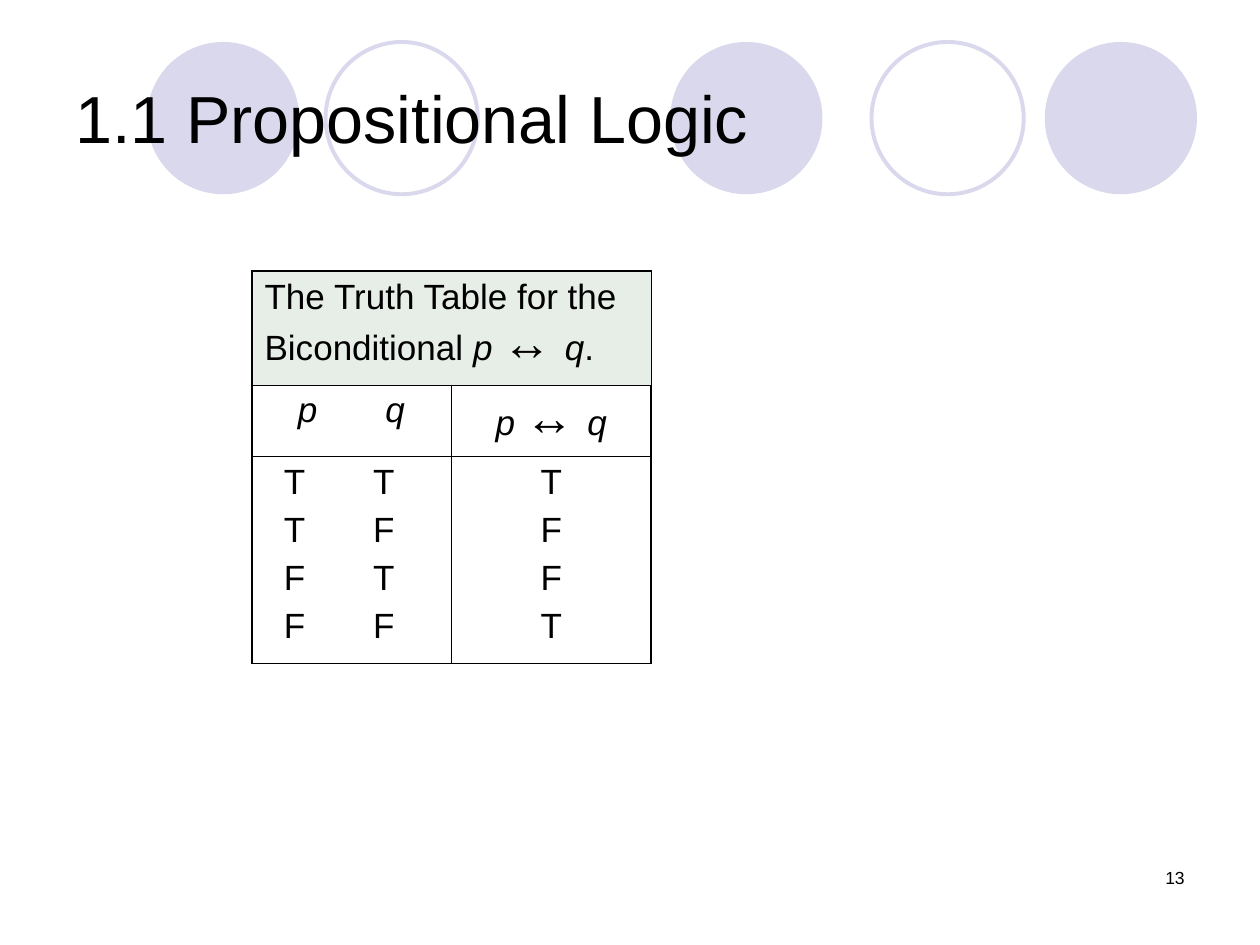
from lxml.etree import SubElement
from pptx import Presentation
from pptx.dml.color import RGBColor
from pptx.enum.shapes import MSO_SHAPE as Shape
from pptx.enum.text import MSO_ANCHOR as Anchor, PP_ALIGN as Align
from pptx.oxml.ns import qn
from pptx.util import Pt

BLACK = RGBColor(0x00, 0x00, 0x00)
LAVENDER = RGBColor(0xD9, 0xD8, 0xEC)
PALE_GREEN = RGBColor(0xE7, 0xED, 0xE7)
FONT = "Arial"
OUTER, INNER = 1.08, 0.45
BICONDITIONAL = [("p ", 20, True), ("↔ ", 28, False), ("q", 20, True)]
HEADING = [("The Truth Table for the Biconditional ", 20, False), *BICONDITIONAL, (".", 20, False)]
TRUTH_VALUES = [("T", "T", "T"), ("T", "F", "F"), ("F", "T", "F"), ("F", "F", "T")]


def style_font(font, size, italic=False):
    """Apply the slide's typeface and colour."""
    font.name = FONT
    font.size = Pt(size)
    font.italic = italic
    font.color.rgb = BLACK


def add_circles(slide, left, top, size):
    """Place the row of filled and outlined circles."""
    circles = [(299, True), (513, True), (0, True), (414, False), (102, False)]
    for offset, filled in circles:
        circle = slide.shapes.add_shape(
            Shape.OVAL, Pt(left + offset), Pt(top), Pt(size), Pt(size))
        circle.shadow.inherit = False
        if filled:
            circle.fill.solid()
            circle.fill.fore_color.rgb = LAVENDER
            circle.line.fill.background()
        else:
            circle.fill.background()
            circle.line.color.rgb = LAVENDER
            circle.line.width = Pt(2.25)


def add_text(slide, left, top, width, height, text, size, align, anchor):
    """Place one line of text in a box."""
    box = slide.shapes.add_textbox(Pt(left), Pt(top), Pt(width), Pt(height))
    text_frame = box.text_frame
    text_frame.word_wrap = True
    text_frame.vertical_anchor = anchor
    text_frame.text = text
    paragraph = text_frame.paragraphs[0]
    paragraph.alignment = align
    style_font(paragraph.runs[0].font, size)


def set_borders(cell, row, column):
    """Draw thick lines on the table's rim and thin ones inside."""
    properties = cell._tc.get_or_add_tcPr()
    rims = {"a:lnL": column == 0, "a:lnR": column == 1, "a:lnT": row == 0, "a:lnB": row == 2}
    for tag, on_rim in rims.items():
        width = Pt(OUTER if on_rim else INNER)
        line = SubElement(properties, qn(tag), w=str(width))
        fill = SubElement(line, qn("a:solidFill"))
        SubElement(fill, qn("a:srgbClr"), val=str(BLACK))


def set_tabs(paragraph, positions):
    """Give a paragraph left tab stops at the given points."""
    tabs = SubElement(paragraph._p.get_or_add_pPr(), qn("a:tabLst"))
    for position in positions:
        SubElement(tabs, qn("a:tab"), pos=str(Pt(position)), algn="l")


def fill_runs(cell, parts, align):
    """Write a paragraph of mixed sizes and slants."""
    paragraph = cell.text_frame.paragraphs[0]
    paragraph.alignment = align
    for text, size, italic in parts:
        run = paragraph.add_run()
        run.text = text
        style_font(run.font, size, italic)


def fill_lines(cell, lines, align=Align.LEFT, tabs=(), italic=False):
    """Write one paragraph per line."""
    cell.text_frame.text = "\n".join(lines)
    for index, paragraph in enumerate(cell.text_frame.paragraphs):
        paragraph.alignment = align
        if index:
            paragraph.space_before = Pt(5)
        if tabs:
            set_tabs(paragraph, tabs)
        for run in paragraph.runs:
            style_font(run.font, 20, italic)


def add_truth_table(slide, left, top, width, row_heights):
    """Place the truth table under its merged heading."""
    frame = slide.shapes.add_table(
        len(row_heights), 2, Pt(left), Pt(top), Pt(width), Pt(sum(row_heights)))
    table = frame.table
    table.first_row = table.horz_banding = False
    for column in table.columns:
        column.width = Pt(width / 2)
    for row, height in enumerate(row_heights):
        table.rows[row].height = Pt(height)
        for column in range(2):
            cell = table.cell(row, column)
            set_borders(cell, row, column)
            if row:
                cell.fill.background()
            else:
                cell.fill.solid()
                cell.fill.fore_color.rgb = PALE_GREEN
    table.cell(0, 0).merge(table.cell(0, 1))
    fill_runs(table.cell(0, 0), HEADING, Align.LEFT)
    fill_lines(table.cell(1, 0), ["\tp\tq"], tabs=(19, 69), italic=True)
    fill_runs(table.cell(1, 1), BICONDITIONAL, Align.CENTER)
    fill_lines(table.cell(2, 0), [f"\t{p}\t{q}" for p, q, _ in TRUTH_VALUES], tabs=(11, 62))
    fill_lines(table.cell(2, 1), [result for _, _, result in TRUTH_VALUES], Align.CENTER)


def main():
    """Build and save the slide."""
    presentation = Presentation()
    presentation.slide_width, presentation.slide_height = Pt(720), Pt(540)
    slide = presentation.slides.add_slide(presentation.slide_layouts[6])
    add_circles(slide, 84, 24, 87)
    add_text(slide, 36, 21.6, 648, 90, "1.1 Propositional Logic", 38, Align.LEFT, Anchor.MIDDLE)
    add_truth_table(slide, 144, 155, 228, (65, 41, 118))
    add_text(slide, 516, 492, 168, 36, "13", 10, Align.RIGHT, Anchor.TOP)
    presentation.save("out.pptx")


if __name__ == "__main__":
    main()
